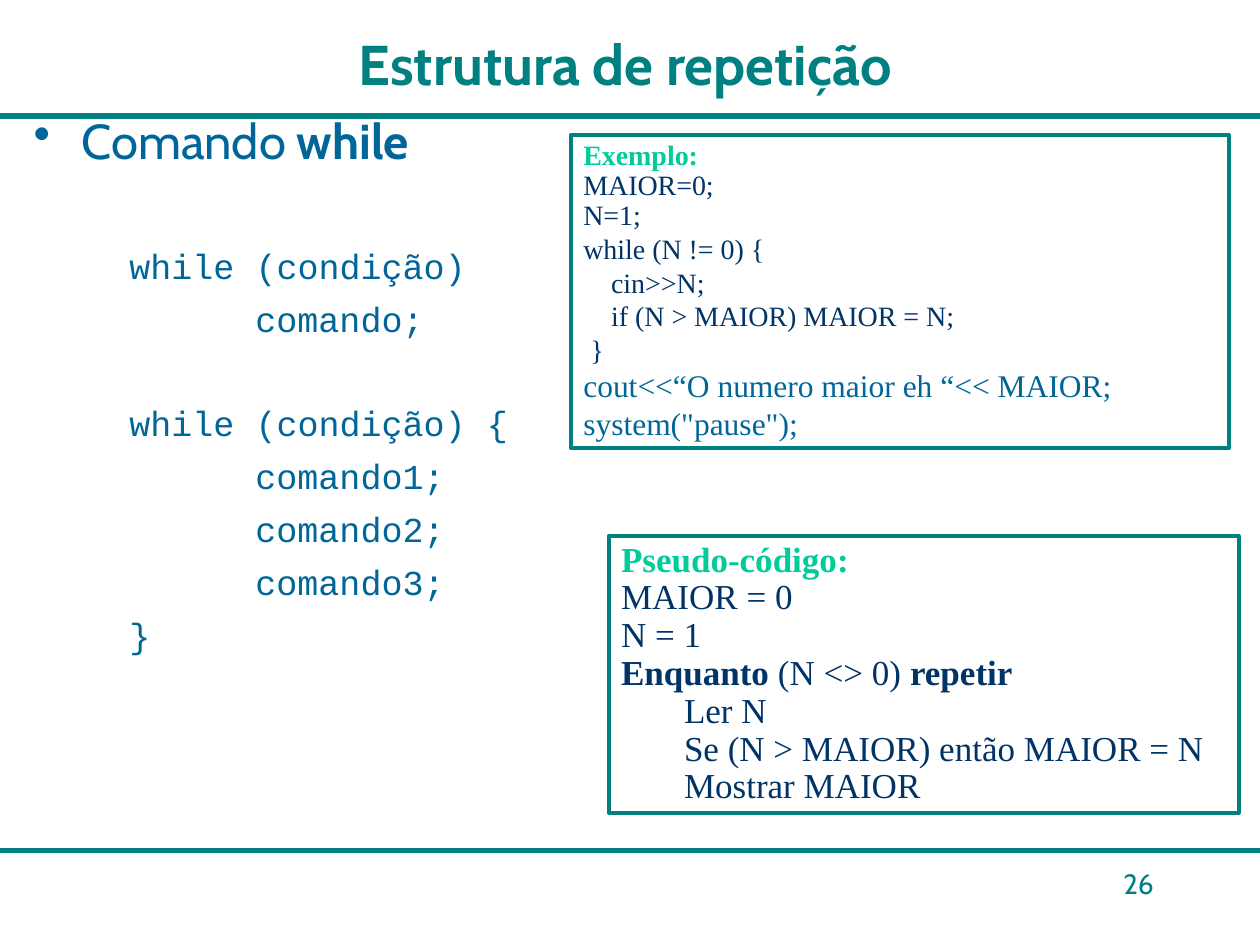
from lxml.etree import SubElement
from pptx import Presentation
from pptx.dml.color import RGBColor
from pptx.enum.shapes import MSO_CONNECTOR, MSO_SHAPE
from pptx.enum.text import MSO_ANCHOR, PP_ALIGN
from pptx.oxml.ns import qn
from pptx.util import Cm, Pt

TEAL, BLUE, NAVY, GREEN = "008080", "006699", "003366", "00CC99"
SANS, MONO, SERIF = "Cabin", "Courier New", "Times New Roman"
THEME = {  # style: font, size, colour, bold
    "title": (SANS, 32, TEAL, True),
    "number": (SANS, 16, TEAL, False),
    "topic": (SANS, 28, BLUE, False),
    "topic bold": (SANS, 28, BLUE, True),
    "syntax": (MONO, 20, BLUE, False),
    "example head": (SERIF, 16, GREEN, True),
    "example": (SERIF, 16, NAVY, False),
    "output": (SERIF, 18, BLUE, False),
    "pseudo head": (SERIF, 20, GREEN, True),
    "pseudo": (SERIF, 20, NAVY, False),
    "keyword": (SERIF, 20, NAVY, True),
}
RULE_WIDTH, FRAME_WIDTH = Pt(3), Pt(2.25)

# Content: each line is (spans, indent in cm, line spacing, space before in pt)
TITLE = [([("Estrutura de repetição", "title")], 0, 1, 0)]
NUMBER = [([("26", "number")], 0, 1, 0)]

CODE, INNER = 1.93, 4.47  # indents of the syntax block
STEP, GAP, TOPIC_GAP = 6.3, 35.3, 42.6  # space before its lines
SYNTAX = [
    ("while (condição)", CODE, TOPIC_GAP),
    ("comando;", INNER, STEP),
    ("while (condição) {", CODE, GAP),
    ("comando1;", INNER, STEP),
    ("comando2;", INNER, STEP),
    ("comando3;", INNER, STEP),
    ("}", CODE, STEP),
]
BODY = [([("Comando ", "topic"), ("while", "topic bold")], 0.97, 1, 0)]
BODY += [([(text, "syntax")], indent, 1, before) for text, indent, before in SYNTAX]

EXAMPLE = [([(text, style)], indent, spacing, 0) for text, style, indent, spacing in [
    ("Exemplo:", "example head", 0, 0.9),
    ("MAIOR=0;", "example", 0, 0.9),
    ("N=1;", "example", 0, 0.9),
    ("while (N != 0) {", "example", 0, 1),
    ("cin>>N;", "example", 0.56, 1),
    ("if (N > MAIOR) MAIOR = N;", "example", 0.56, 1),
    ("}", "example", 0.14, 1),
    ("cout<<“O numero maior eh “<< MAIOR;", "output", 0, 1),
    ('system("pause");', "output", 0, 1),
]]
PSEUDO = [(spans, indent, 0.9, 0) for spans, indent in [
    ([("Pseudo-código:", "pseudo head")], 0),
    ([("MAIOR = 0", "pseudo")], 0),
    ([("N = 1", "pseudo")], 0),
    ([("Enquanto", "keyword"), (" (N <> 0) ", "pseudo"), ("repetir", "keyword")], 0),
    ([("Ler N", "pseudo")], 1.27),
    ([("Se (N > MAIOR) então MAIOR = N", "pseudo")], 1.27),
    ([("Mostrar MAIOR", "pseudo")], 1.27),
]]


def write_lines(box, lines, align=PP_ALIGN.LEFT, anchor=MSO_ANCHOR.TOP):
    frame = box.text_frame
    frame.word_wrap = True
    frame.vertical_anchor = anchor
    for index, (spans, indent, spacing, before) in enumerate(lines):
        paragraph = frame.paragraphs[0] if index == 0 else frame.add_paragraph()
        paragraph.alignment = align
        paragraph.line_spacing = spacing
        paragraph.space_before = Pt(before)
        if indent:
            paragraph._p.get_or_add_pPr().set("marL", str(Cm(indent)))
        for text, style in spans:
            span = paragraph.add_run()
            span.text = text
            font_name, size, colour, bold = THEME[style]
            span.font.name, span.font.size, span.font.bold = font_name, Pt(size), bold
            span.font.color.rgb = RGBColor.from_string(colour)


def add_bullet(paragraph):
    properties = paragraph._p.get_or_add_pPr()
    properties.set("indent", "-" + properties.get("marL"))
    SubElement(properties, qn("a:buChar")).set("char", "•")


def add_text(page, place, lines, **layout):
    box = page.shapes.add_textbox(*map(Cm, place))
    write_lines(box, lines, **layout)
    return box


def add_frame(page, place, lines):
    box = page.shapes.add_shape(MSO_SHAPE.RECTANGLE, *map(Cm, place))
    box.shadow.inherit = False
    box.fill.background()
    box.line.color.rgb = RGBColor.from_string(TEAL)
    box.line.width = FRAME_WIDTH
    write_lines(box, lines)


def add_rule(page, width, top):
    rule = page.shapes.add_connector(MSO_CONNECTOR.STRAIGHT, 0, Cm(top), width, Cm(top))
    rule.line.color.rgb = RGBColor.from_string(TEAL)
    rule.line.width = RULE_WIDTH
    SubElement(rule._element.spPr, qn("a:effectLst"))


def main():
    deck = Presentation()
    deck.slide_width, deck.slide_height = Cm(25.4), Cm(19.05)
    page = deck.slides.add_slide(deck.slide_layouts[6])

    # Rules under the title and above the page number
    for top in (2.34, 17.15):
        add_rule(page, deck.slide_width, top)

    # Page number, title and command syntax
    add_text(page, (21.17, 17.35, 2.34, 1.27), NUMBER, align=PP_ALIGN.RIGHT)
    add_text(page, (1.91, 0.64, 21.39, 1.27), TITLE,
             align=PP_ALIGN.CENTER, anchor=MSO_ANCHOR.MIDDLE)
    body = add_text(page, (0.43, 2.11, 21.59, 15.67), BODY)
    add_bullet(body.text_frame.paragraphs[0])

    # Framed listings
    add_frame(page, (12.27, 10.8, 12.7, 5.59), PSEUDO)
    add_frame(page, (11.51, 2.72, 13.26, 6.32), EXAMPLE)

    deck.save("out.pptx")


if __name__ == "__main__":
    main()
